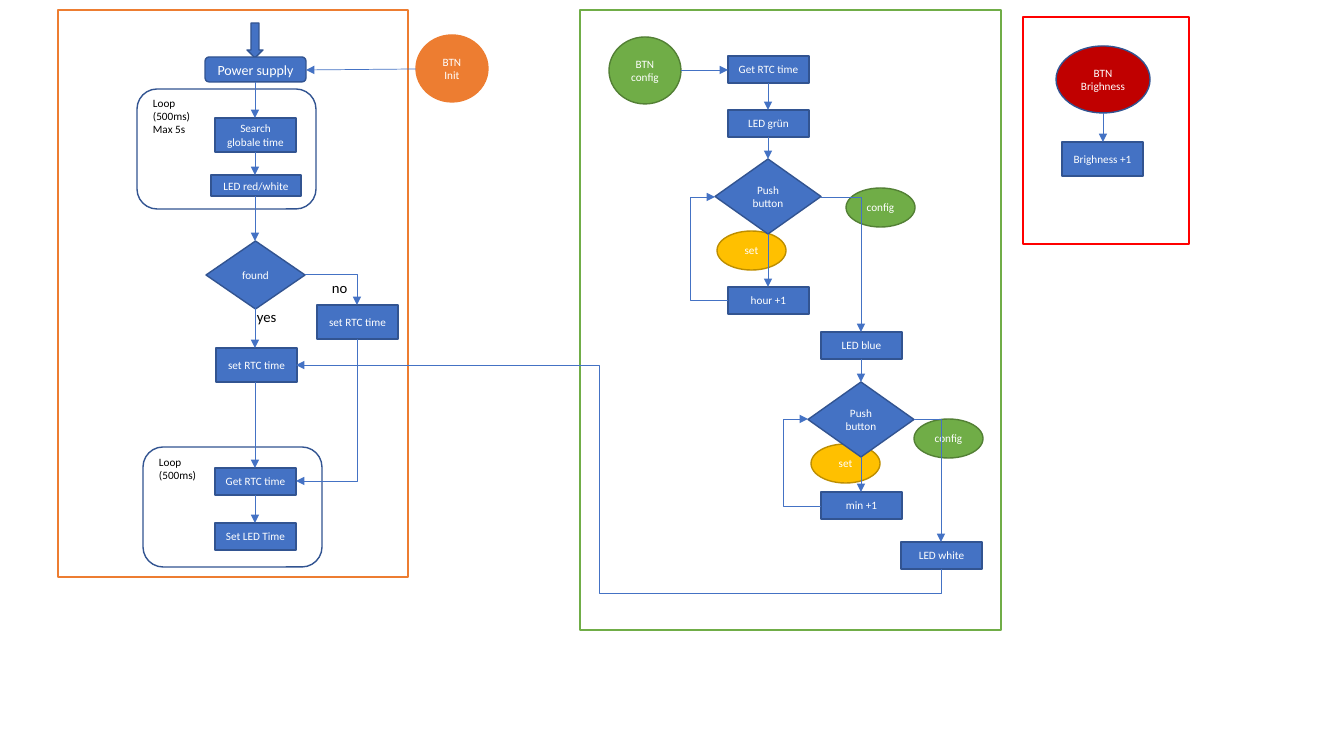
from lxml import etree
from pptx import Presentation
from pptx import util as u
from pptx.dml.color import RGBColor
from pptx.enum import shapes, text
from pptx.oxml import ns

SCALE = u.Inches(1) / 100.8
COLORS = {
    "blue": "4472C4", "navy": "325491", "green": "70AD47", "moss": "538035",
    "gold": "FFC000", "ochre": "BD8E00", "orange": "ED7D31", "crimson": "C00000",
    "red": "FF0000", "white": "FFFFFF", "black": "000000",
}
KIND = shapes.MSO_SHAPE

deck = Presentation()
deck.slide_width, deck.slide_height = u.Inches(13.333), u.Inches(7.5)
page = deck.slides.add_slide(deck.slide_layouts[6])


def write(box, words, size=8, color="white", align=text.PP_ALIGN.CENTER,
          anchor=text.MSO_ANCHOR.MIDDLE, wrap=True):
    """Put words in a box, one paragraph per line, all in one format."""
    frame = box.text_frame
    frame.word_wrap, frame.vertical_anchor = wrap, anchor
    for number, line in enumerate(words.split("\n")):
        para = frame.add_paragraph() if number else frame.paragraphs[0]
        para.alignment = align
        span = para.add_run()
        span.text = line
        span.font.size, span.font.name = u.Pt(size), "Calibri"
        span.font.color.rgb = RGBColor.from_string(COLORS[color])


def connect(start, end, preset="line", turned=False, adjust=()):
    """Draw an arrow; a turned one leaves its start vertically."""
    (x1, y1), (x2, y2) = start, end
    if turned:  # a quarter turn about the centre swaps the two extents
        middle_x, middle_y = (x1 + x2) / 2, (y1 + y2) / 2
        half_w, half_h = (y2 - y1) / 2, (x1 - x2) / 2
        x1, x2 = middle_x - half_w, middle_x + half_w
        y1, y2 = middle_y - half_h, middle_y + half_h
    arrow = page.shapes.add_connector(
        shapes.MSO_CONNECTOR.STRAIGHT, *(round(v * SCALE) for v in (x1, y1, x2, y2)))
    arrow.line.width = u.Pt(0.5)
    arrow.line.color.rgb = RGBColor.from_string(COLORS["blue"])
    props = arrow._element.spPr
    if turned:
        props.find(ns.qn("a:xfrm")).set("rot", "5400000")
    geometry = props.find(ns.qn("a:prstGeom"))
    geometry.set("prst", preset)
    for number, share in enumerate(adjust, 1):
        guide = etree.SubElement(geometry.find(ns.qn("a:avLst")), ns.qn("a:gd"))
        guide.set("name", f"adj{number}")
        guide.set("fmla", f"val {round(share * 100000)}")
    tip = etree.SubElement(props.find(ns.qn("a:ln")), ns.qn("a:tailEnd"))
    tip.set("type", "triangle")
    etree.SubElement(props, ns.qn("a:effectLst"))


# Each group: preset, width, height, then (left, top, words, fill, line)
groups = [
    (KIND.RECTANGLE, 353 - 3, 567, [(58, 10, "", None, "orange")]),
    (KIND.RECTANGLE, 421, 620, [(580, 10, "", None, "green")]),
    (KIND.RECTANGLE, 166, 227, [(1023, 17, "", None, "red")]),
    (KIND.ROUNDED_RECTANGLE, 179, 120, [(137, 89, "", None, "navy"),
                                        (143, 447, "", None, "navy")]),
    (KIND.OVAL, 69, 39, [(717, 231, "set", "gold", "ochre"),
                         (846, 188, "config", "green", "moss"),
                         (811, 444, "set", "gold", "ochre"),
                         (914, 419, "config", "green", "moss")]),
    (KIND.OVAL, 72, 67, [(416, 35, "BTN Init", "orange", "orange"),
                         (609, 37, "BTN config", "green", "moss")]),
    (KIND.OVAL, 94, 67, [(1056, 46, "BTN Brighness", "crimson", "navy")]),
    (KIND.DOWN_ARROW, 16, 35, [(247, 23, "", "blue", "navy")]),
    (KIND.DIAMOND, 99, 68, [(206, 241, "found", "blue", "navy")]),
    (KIND.DIAMOND, 106, 75, [(715, 159, "Push\nbutton", "blue", "navy"),
                             (808, 382, "Push\nbutton", "blue", "navy")]),
    (KIND.RECTANGLE, 90, 21, [(211, 175, "LED red/white", "blue", "navy")]),
    (KIND.RECTANGLE, 81, 34, [(left, top, words, "blue", "navy") for left, top, words in (
        (215, 118, "Search globale time"), (216, 348, "set RTC time"),
        (317, 305, "set RTC time"), (1062, 142, "Brighness +1"))]),
    (KIND.RECTANGLE, 81, 27, [(left, top, words, "blue", "navy") for left, top, words in (
        (215, 468, "Get RTC time"), (215, 523, "Set LED Time"),
        (728, 56, "Get RTC time"), (728, 110, "LED grün"), (728, 287, "hour +1"),
        (821, 332, "LED blue"), (821, 492, "min +1"), (901, 542, "LED white"))]),
    (KIND.ROUNDED_RECTANGLE, 101, 25, [(205, 57, "Power supply", "blue", "navy")]),
]
for preset, width, height, members in groups:
    for left, top, words, fill, line in members:
        box = page.shapes.add_shape(
            preset, *(round(v * SCALE) for v in (left, top, width, height)))
        box.shadow.inherit = False
        box.line.width = u.Pt(1)
        box.line.color.rgb = RGBColor.from_string(COLORS[line])
        if fill:
            box.fill.solid()
            box.fill.fore_color.rgb = RGBColor.from_string(COLORS[fill])
        else:
            box.fill.background()
        if words:
            write(box, words, size=10 if words == "Power supply" else 8)

labels = [
    (322, 274, 37, 29, "no", 10.5, False),
    (247, 303, 41, 28, "yes", 10.5, False),
    (143, 91, 59, 50, "Loop\n(500ms)\nMax 5s", 8, True),
    (149, 450, 59, 37, "Loop\n(500ms)", 8, True),
]
for left, top, width, height, words, size, wrap in labels:
    box = page.shapes.add_textbox(*(round(v * SCALE) for v in (left, top, width, height)))
    write(box, words, size=size, color="black", align=text.PP_ALIGN.LEFT,
          anchor=text.MSO_ANCHOR.TOP, wrap=wrap)

# Downward arrows: column centre, then (from, to) heights
drops = {
    255: [(82, 118), (152, 175), (196, 241), (308, 348), (382, 468), (495, 523)],
    768: [(83, 110), (137, 159), (234, 287)],
    861: [(359, 382), (457, 492)],
    1103: [(113, 142)],
}
for center, spans in drops.items():
    for top, bottom in spans:
        connect((center, top), (center, bottom))

# Button arrows
connect((416, 69), (306, 70))
connect((681, 70), (728, 70))

# Branches to the right and then down
for start, end in [((305, 274), (357, 305)), ((821, 197), (861, 332)),
                   ((914, 419), (941, 542))]:
    connect(start, end, "bentConnector2")

# Loops from a counter back to its push button
for start, end in [((728, 300), (715, 197)), ((821, 506), (808, 419))]:
    connect(start, end, "bentConnector3", adjust=[2.92])

# Returns to the initial column
connect((357, 339), (296, 481), "bentConnector2", turned=True)
connect((941, 569), (296, 365), "bentConnector4", turned=True, adjust=[-0.12, 0.53])

deck.save("out.pptx")
